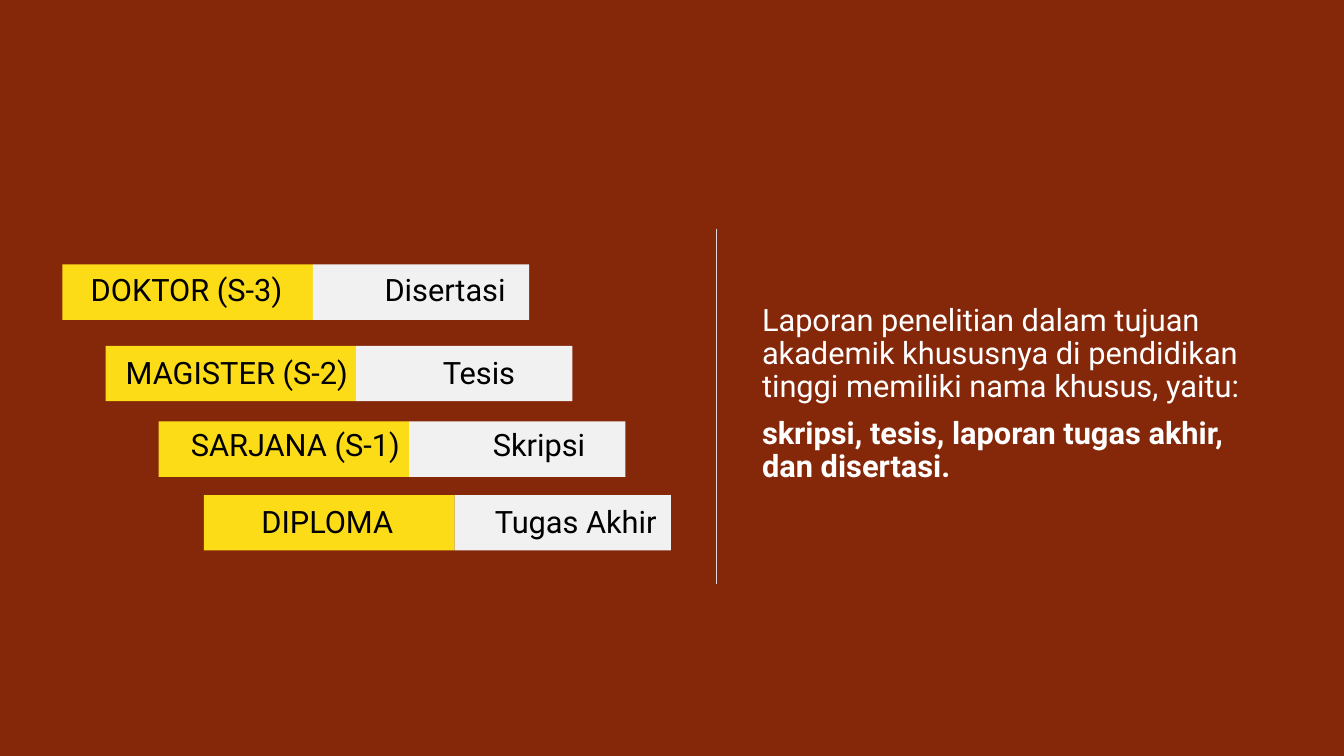
from pptx import Presentation
from pptx.dml.color import RGBColor
from pptx.enum import shapes, text
from pptx.oxml import xmlchemy
from pptx.util import Pt

COLORS = {
    "background": "852809",
    "degree": "FCDC17",
    "report": "F1F1F1",
    "dark": "000000",
    "light": "FFFFFF",
    "divider": "D9D9D9",
}
BAR_HEIGHT = 39.6
DEGREE_WIDTH = 179
REPORT_WIDTH = 154.5

# left, top, space above text, (degree, indent), (report, indent)
LEVELS = [
    (44.6, 188.9, 4.3, ("DOKTOR (S-3)", 20.2), ("Disertasi", 51.1)),
    (75.4, 247, 5.5, ("MAGISTER (S-2)", 14.4), ("Tesis", 61.9)),
    (113.3, 301, 3.1, ("SARJANA (S-1)", 23), ("Skripsi", 59.8)),
    (145.7, 353.6, 5.6, ("DIPLOMA", 41), ("Tugas Akhir", 28.8)),
]


def color(name):
    return RGBColor.from_string(COLORS[name])


def set_frame(frame, left=0, top=0):
    frame.margin_left, frame.margin_top = Pt(left), Pt(top)
    frame.margin_right = frame.margin_bottom = 0
    frame.word_wrap = True
    frame.auto_size = text.MSO_AUTO_SIZE.NONE
    frame.vertical_anchor = text.MSO_ANCHOR.TOP


def write(paragraph, words, ink="dark", bold=False, before=0, line=None):
    paragraph.alignment = text.PP_ALIGN.LEFT
    paragraph.space_before = Pt(before)
    if line:
        paragraph.line_spacing = Pt(line)
    run = paragraph.add_run()
    run.text = words
    run.font.name = "Roboto"
    run.font.size = Pt(22)
    run.font.bold = bold
    run.font.color.rgb = color(ink)


def remove_bullet(paragraph):
    properties = paragraph._p.get_or_add_pPr()
    properties.set("marL", "0")
    properties.set("indent", "0")
    properties.append(xmlchemy.OxmlElement("a:buNone"))


def add_bar(slide, left, top, width, fill, words, indent, above):
    shape = slide.shapes.add_shape(
        shapes.MSO_SHAPE.RECTANGLE, Pt(left), Pt(top), Pt(width), Pt(BAR_HEIGHT))
    shape.shadow.inherit = False
    shape.fill.solid()
    shape.fill.fore_color.rgb = color(fill)
    shape.line.fill.background()
    set_frame(shape.text_frame, indent, above)
    write(shape.text_frame.paragraphs[0], words, before=above)


def add_divider(slide, x, top, bottom):
    connector = slide.shapes.add_connector(
        shapes.MSO_CONNECTOR.STRAIGHT, Pt(x), Pt(top), Pt(x), Pt(bottom))
    connector.line.color.rgb = color("divider")
    connector.line.width = Pt(0.6)
    connector._element.spPr.append(xmlchemy.OxmlElement("a:effectLst"))


def fill_body(body):
    body.left, body.top = Pt(543.6), Pt(213.1)
    body.width, body.height = Pt(344.9), Pt(133.2)
    frame = body.text_frame
    set_frame(frame, 0.7, 4)
    introduction, names = frame.paragraphs[0], frame.add_paragraph()
    write(introduction,
          "Laporan penelitian dalam tujuan akademik khususnya di pendidikan "
          "tinggi memiliki nama khusus, yaitu:",
          ink="light", before=4, line=23.8)
    write(names, "skripsi, tesis, laporan tugas akhir, dan disertasi.",
          ink="light", bold=True, before=9.6, line=23.8)
    for paragraph in frame.paragraphs:
        remove_bullet(paragraph)


def main():
    presentation = Presentation()
    presentation.slide_width, presentation.slide_height = Pt(960), Pt(540)
    slide = presentation.slides.add_slide(presentation.slide_layouts[1])
    slide.background.fill.solid()
    slide.background.fill.fore_color.rgb = color("background")
    title = slide.shapes.title._element
    title.getparent().remove(title)

    fill_body(slide.placeholders[1])
    for left, top, above, degree, report in LEVELS:
        add_bar(slide, left, top, DEGREE_WIDTH, "degree", *degree, above)
        add_bar(slide, left + DEGREE_WIDTH, top, REPORT_WIDTH, "report", *report, above)
    add_divider(slide, 511.9, 163.4, 416.9)
    presentation.save("out.pptx")


if __name__ == "__main__":
    main()
